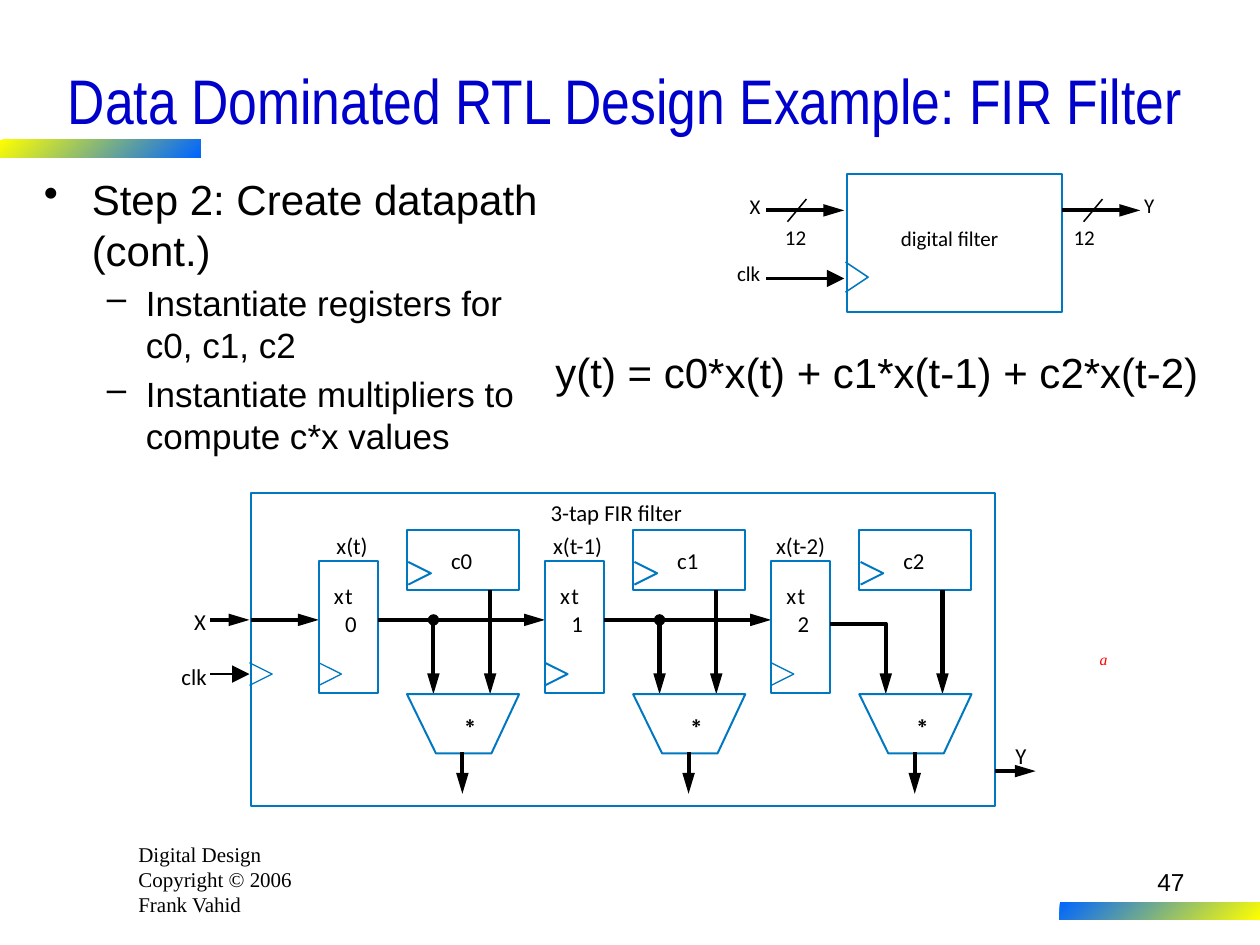
from pptx import Presentation
from pptx.dml.color import RGBColor
from pptx.enum.shapes import MSO_CONNECTOR, MSO_SHAPE
from pptx.enum.text import MSO_ANCHOR, PP_ALIGN
from pptx.oxml.ns import qn
from pptx.util import Inches, Pt
from lxml.etree import SubElement

# Content
TITLE = "Data Dominated RTL Design Example: FIR Filter"
BODY = [  # text, level, size, space before
    ("Step 2: Create datapath (cont.)", 0, 24, 0),
    ("Instantiate registers for c0, c1, c2", 1, 20, 4),
    ("Instantiate multipliers to compute c*x values", 1, 20, 4),
]
LEVELS = [("•", 0.38, -0.38), ("–", 0.81, -0.31)]  # bullet, margin, indent
FOOT = ["Digital Design", "Copyright © 2006", "Frank Vahid"]
BLACK, BLUE = "000000", "0078C1"
BARS = [(0, 1.11, "FFFF00", "0066FF"), (8.41, 7.16, "0066FF", "FFFF00")]

# Filter symbol and frame labels: text, left, top, width, size
LABELS = [
    ("12", 8.52, 1.78, 0.18, 12), ("12", 6.23, 1.78, 0.18, 12),
    ("X", 5.95, 1.54, 0.11, 12), ("Y", 9.08, 1.53, 0.11, 12),
    ("clk", 5.85, 2.07, 0.2, 12), ("digital filter", 7.15, 1.79, 0.79, 12),
    ("3-tap FIR filter", 4.37, 3.96, 1.1, 13), ("X", 1.54, 4.82, 0.13, 13),
    ("clk", 1.44, 5.26, 0.22, 13), ("Y", 8.06, 5.89, 0.13, 13),
]
ARROWS = [  # from x, y, to x, y, width
    (6.08, 1.67, 6.7, 1.67, 2.38), (6.08, 2.21, 6.7, 2.21, 1.63),
    (8.43, 1.67, 9.05, 1.67, 2.38), (1.67, 4.92, 1.98, 4.92, 2.38),
    (1.67, 5.35, 1.98, 5.35, 1.5), (1.99, 4.92, 2.53, 4.92, 2.38),
    (7.9, 6.12, 8.22, 6.12, 2.38),
]

# Filter taps: signal, its left, register, coefficient
TAPS = [("x(t)", 2.67, "t0", "c0"), ("x(t-1)", 4.39, "t1", "c1"),
        ("x(t-2)", 6.16, "t2", "c2")]
LEFT, PITCH = 2.53, 1.795

deck = Presentation()
deck.slide_width, deck.slide_height = Inches(10), Inches(7.5)
slide = deck.slides.add_slide(deck.slide_layouts[5])
shapes = slide.shapes


def color(code):
    return RGBColor.from_string(code)


def style(font, code=BLACK, **values):
    for key, value in values.items():
        setattr(font, key, value)
    font.color.rgb = color(code)


def text(lines, x, y, w, h, name, size, code=BLACK, inset=0.0, wrap=False,
         align=PP_ALIGN.LEFT, **values):
    box = shapes.add_textbox(*map(Inches, (x, y, w, h)))
    frame = box.text_frame
    frame.word_wrap = wrap
    frame.margin_left = frame.margin_right = Inches(inset)
    frame.margin_top = frame.margin_bottom = Inches(inset / 2)
    for i, line in enumerate(lines):
        para = frame.add_paragraph() if i else frame.paragraphs[0]
        para.text, para.alignment = line, align
        style(para.font, code, name=name, size=Pt(size), **values)
    return frame


def label(words, x, y, w, size=13, wrap=False):
    text([words], x, y, w, size / 60, "Calibri", size, wrap=wrap)


def paint(shape, code, width, fill=None):
    shape.shadow.inherit = False
    if fill:
        shape.fill.solid()
        shape.fill.fore_color.rgb = color(fill)
    else:
        shape.fill.background()
    shape.line.color.rgb = color(code)
    shape.line.width = Pt(width)


def rect(x, y, w, h, width=1.13):
    box = shapes.add_shape(MSO_SHAPE.RECTANGLE, *map(Inches, (x, y, w, h)))
    paint(box, BLUE, width)


def outline(points, code=BLUE, width=1.13, close=False):
    spots = [(Inches(x), Inches(y)) for x, y in points]
    build = shapes.build_freeform(*spots[0])
    build.add_line_segments(spots[1:], close=close)
    shape = build.convert_to_shape()
    paint(shape, code, width)
    return shape


def wedge(x, y, w=0.18, h=0.18, width=1.13):
    outline([(x, y + h), (x + w, y + h / 2), (x, y)], width=width)


def head(shape, width):
    size = "med" if width > 2 else "lg"
    SubElement(shape.line._get_or_add_ln(), qn("a:tailEnd"),
               type="triangle", w=size, len="lg")


def line(x1, y1, x2, y2, width=2.38, arrow=True):
    link = shapes.add_connector(MSO_CONNECTOR.STRAIGHT,
                                *map(Inches, (x1, y1, x2, y2)))
    link.line.color.rgb = color(BLACK)
    link.line.width = Pt(width)
    if arrow:
        head(link, width)
    SubElement(link._element.spPr, qn("a:effectLst"))


# Gradient bars
for x, y, start, end in BARS:
    bar = shapes.add_shape(MSO_SHAPE.RECTANGLE,
                           *map(Inches, (x, y, 1.59, 0.14)))
    bar.shadow.inherit = False
    bar.line.fill.background()
    bar.fill.gradient()
    bar.fill.gradient_angle = 315
    for stop, code, place in zip(bar.fill.gradient_stops, (start, end), (0, 1)):
        stop.color.rgb, stop.position = color(code), place

# Title
title = shapes.title
title.left, title.top, title.width, title.height = map(
    Inches, (0.25, 0.33, 9.42, 0.92))
title.text_frame.text = TITLE
title.text_frame.vertical_anchor = MSO_ANCHOR.MIDDLE
para = title.text_frame.paragraphs[0]
para.alignment = PP_ALIGN.CENTER
style(para.font, "0000CC", name="Arial Narrow", size=Pt(36))

# Body, formula and footer
body = text([row[0] for row in BODY], 0.25, 1.33, 4.19, 2.7, "Arial", 24,
            inset=0.1, wrap=True)
for para, (_, level, size, space) in zip(body.paragraphs, BODY):
    mark, margin, indent = LEVELS[level]
    para.level, para.space_before = level, Pt(space)
    props = para._p.get_or_add_pPr()
    props.set("marL", str(Inches(margin)))
    props.set("indent", str(Inches(indent)))
    bullet = SubElement(props, qn("a:buChar"), char=mark)
    props.find(qn("a:defRPr")).addprevious(bullet)
    para.font.size = Pt(size)
text(["y(t) = c0*x(t) + c1*x(t-1) + c2*x(t-2)"], 4.31, 2.7, 5.3, 0.5,
     "Arial", 24, inset=0.1)
text(FOOT, 1, 6.63, 1.67, 0.7, "Times New Roman", 12, inset=0.1, wrap=True)
text(["47"], 7.42, 6.83, 2.08, 0.5, "Arial", 14, inset=0.1, wrap=True,
     align=PP_ALIGN.RIGHT)
text(["a"], 8.63, 5.11, 0.26, 0.25, "Times New Roman", 9, "FF0000",
     inset=0.1, italic=True)

# Filter symbol and datapath frame
rect(6.72, 1.38, 1.71, 1.1, 1.25)
wedge(6.71, 2.08, h=0.24, width=0.88)
rect(1.99, 3.91, 5.91, 2.49)
wedge(1.98, 5.26, width=0.75)
for arrow in ARROWS:
    line(*arrow)
for x in (6.25, 8.6):
    line(x + 0.15, 1.58, x, 1.76, 0.88, arrow=False)
for item in LABELS:
    label(*item)

# Taps: register, coefficient and multiplier
for i, (signal, place, reg, coef) in enumerate(TAPS):
    x = LEFT + i * PITCH
    last = i == len(TAPS) - 1
    rect(x, 4.45, 0.47, 1.05)
    wedge(x, 5.26, width=1.13 if i == 1 else 0.75)
    label(signal, place, 4.22, 0.45)
    label("x", x + 0.12, 4.62, 0.09)
    label(reg, x + 0.21, 4.62, 0.14, wrap=True)
    rect(x + 0.7, 4.21, 0.89, 0.47)
    wedge(x + 0.71, 4.46)
    label(coef, x + 1.05, 4.34, 0.17)
    line(x + 1.36, 4.68, x + 1.36, 5.51)
    drop = x + 0.91
    if last:
        bend = outline([(x + 0.47, 4.95), (drop, 4.95), (drop, 5.51)],
                       BLACK, 2.38)
        head(bend, 2.38)
    else:
        line(x + 0.47, 4.92, x + PITCH, 4.92)
        line(drop, 4.91, drop, 5.51)
        dot = shapes.add_shape(MSO_SHAPE.OVAL, *map(
            Inches, (drop - 0.04, 4.88, 0.08, 0.08)))
        paint(dot, BLACK, 0.75, BLACK)
    outline([(x + 1.59, 5.51), (x + 1.37, 5.98), (x + 0.93, 5.98),
             (x + 0.7, 5.51)], close=True)
    text(["∗"], x + 1.09, 5.58, 0.11, 0.27, "Arial", 16)
    line(x + 1.14, 5.97, x + 1.14, 6.3)

deck.save("out.pptx")
